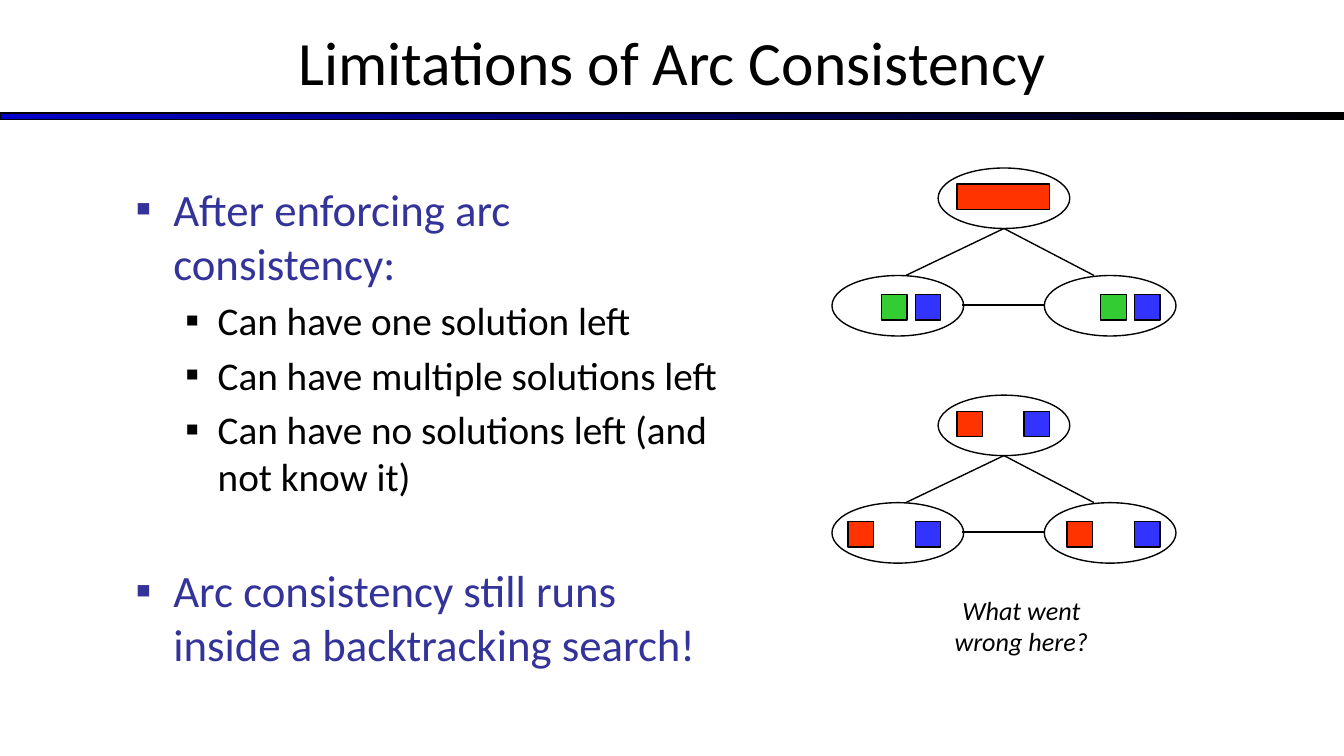
from lxml.etree import SubElement
from pptx import Presentation
from pptx.dml.color import RGBColor
from pptx.enum.shapes import MSO_CONNECTOR, MSO_SHAPE
from pptx.enum.text import MSO_ANCHOR, PP_ALIGN
from pptx.oxml.ns import qn
from pptx.util import Inches, Pt

BLACK = RGBColor(0x00, 0x00, 0x00)
NAVY = RGBColor(0x00, 0x00, 0xCC)
INDIGO = RGBColor(0x33, 0x33, 0x99)
RED = RGBColor(0xFF, 0x33, 0x00)
GREEN = RGBColor(0x33, 0xCC, 0x33)
BLUE = RGBColor(0x33, 0x33, 0xFF)

# Content
TITLE = "Limitations of Arc Consistency"
MAIN = {"size": 24, "color": INDIGO, "left": 0.28, "hang": 0.28}
SUB = {"size": 21, "color": BLACK, "left": 0.61, "hang": 0.24}
POINTS = [  # text, format, space before in points
    ("After enforcing arc consistency:", MAIN, 0),
    ("Can have one solution left", SUB, 4),
    ("Can have multiple solutions left", SUB, 4),
    ("Can have no solutions left (and not know it)", SUB, 4),
    ("Arc consistency still runs inside a backtracking search!", MAIN, 34),
]
CAPTION = "What went wrong here?"

# Graph layout: node offsets, arc ends and domain values, from each graph's top
LEFT, TOP, RIGHT = (6.19, 0.8), (6.98, 0), (7.77, 0.8)
NODE_W, NODE_H, SIDE = 0.98, 0.45, 0.19
ARCS = [
    ((7.47, 0.45), (6.74, 0.8)),
    ((7.47, 0.45), (8.14, 0.8)),
    ((7.16, 1.02), (7.77, 1.02)),
]
HIGH, LOW = 0.12, 0.94
GRAPHS = [  # top, values as (x, y, width, colour)
    (1.25, [(7.12, HIGH, 0.69, RED),
            (6.56, LOW, SIDE, GREEN), (6.81, LOW, SIDE, BLUE),
            (8.19, LOW, SIDE, GREEN), (8.44, LOW, SIDE, BLUE)]),
    (2.94, [(7.12, HIGH, SIDE, RED), (7.62, HIGH, SIDE, BLUE),
            (6.31, LOW, SIDE, RED), (6.81, LOW, SIDE, BLUE),
            (7.94, LOW, SIDE, RED), (8.44, LOW, SIDE, BLUE)]),
]


def outline(item):
    item.line.color.rgb = BLACK
    item.line.width = Pt(0.75)


def add_shape(shapes, kind, box, color=None):
    shape = shapes.add_shape(kind, *map(Inches, box))
    shape.shadow.inherit = False
    outline(shape)
    if color is None:
        shape.fill.background()
    else:
        shape.fill.solid()
        shape.fill.fore_color.rgb = color
    return shape


def add_line(shapes, start, end):
    line = shapes.add_connector(MSO_CONNECTOR.STRAIGHT, *map(Inches, start + end))
    outline(line)
    SubElement(line._element.spPr, qn("a:effectLst"))


def set_frame(frame, anchor):
    values = {"word_wrap": True, "vertical_anchor": anchor,
              "margin_left": Inches(0.07), "margin_right": Inches(0.07),
              "margin_top": Inches(0.04), "margin_bottom": Inches(0.04)}
    for name, value in values.items():
        setattr(frame, name, value)


def write(para, text, size, color=BLACK, **extra):
    run = para.add_run()
    run.text = text
    values = {"name": "Calibri", "size": Pt(size), **extra}
    for name, value in values.items():
        setattr(run.font, name, value)
    run.font.color.rgb = color


def add_bullet(para, left, hang):
    props = para._p.get_or_add_pPr()
    props.set("marL", str(Inches(left)))
    props.set("indent", str(-Inches(hang)))
    SubElement(props, qn("a:buFont")).set("typeface", "Calibri")
    SubElement(props, qn("a:buChar")).set("char", "▪")


def add_text(shapes, box):
    frame = shapes.add_textbox(*map(Inches, box)).text_frame
    set_frame(frame, MSO_ANCHOR.TOP)
    return frame


def main():
    deck = Presentation()
    deck.slide_width = Inches(10)
    deck.slide_height = deck.slide_width * 9 // 16
    slide = deck.slides.add_slide(deck.slide_layouts[5])
    shapes = slide.shapes

    # Title and gradient rule
    bar = add_shape(shapes, MSO_SHAPE.RECTANGLE, (0, 0.84, 10, 0.05))
    bar.fill.gradient()
    bar.fill.gradient_angle = 0
    for stop, color in zip(bar.fill.gradient_stops, (NAVY, BLACK)):
        stop.color.rgb = color
    title = shapes.title
    for name, value in zip(("left", "top", "width", "height"), (0, -0.02, 10, 0.94)):
        setattr(title, name, Inches(value))
    set_frame(title.text_frame, MSO_ANCHOR.MIDDLE)
    para = title.text_frame.paragraphs[0]
    para.alignment = PP_ALIGN.CENTER
    write(para, TITLE, 33)

    # Bullet points
    frame = add_text(shapes, (0.94, 1.31, 4.56, 3.71))
    for i, (text, form, gap) in enumerate(POINTS):
        para = frame.add_paragraph() if i else frame.paragraphs[0]
        para.level = 1 if form is SUB else 0
        para.space_before = Pt(gap)
        add_bullet(para, form["left"], form["hang"])
        write(para, text, form["size"], form["color"])

    # Constraint graphs
    for top, values in GRAPHS:
        graph = shapes.add_group_shape().shapes
        for x, y in (TOP, RIGHT, LEFT):
            add_shape(graph, MSO_SHAPE.OVAL, (x, top + y, NODE_W, NODE_H))
        for (x1, y1), (x2, y2) in ARCS:
            add_line(graph, (x1, top + y1), (x2, top + y2))
        for x, y, width, color in values:
            add_shape(shapes, MSO_SHAPE.RECTANGLE, (x, top + y, width, SIDE), color)

    # Caption
    para = add_text(shapes, (6.88, 4.38, 1.44, 0.53)).paragraphs[0]
    para.alignment = PP_ALIGN.CENTER
    write(para, CAPTION, 14, italic=True)

    deck.save("out.pptx")


if __name__ == "__main__":
    main()
